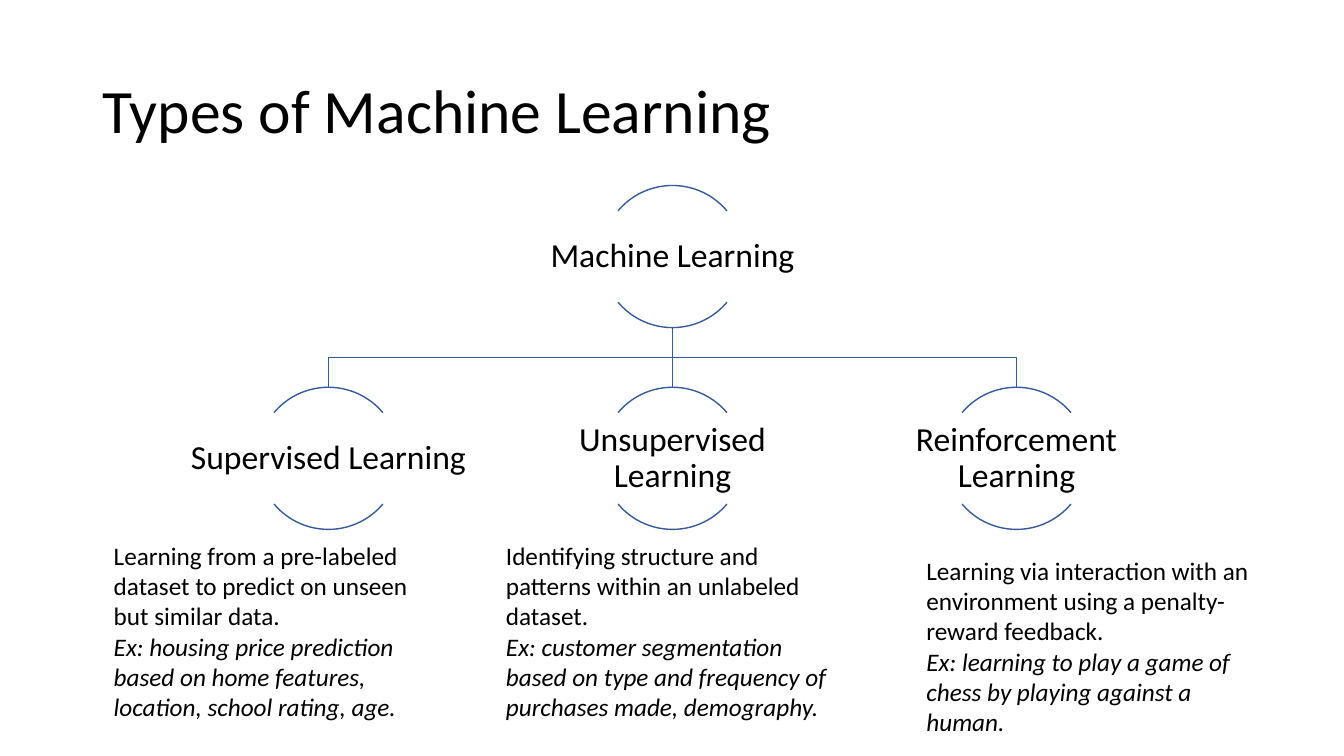
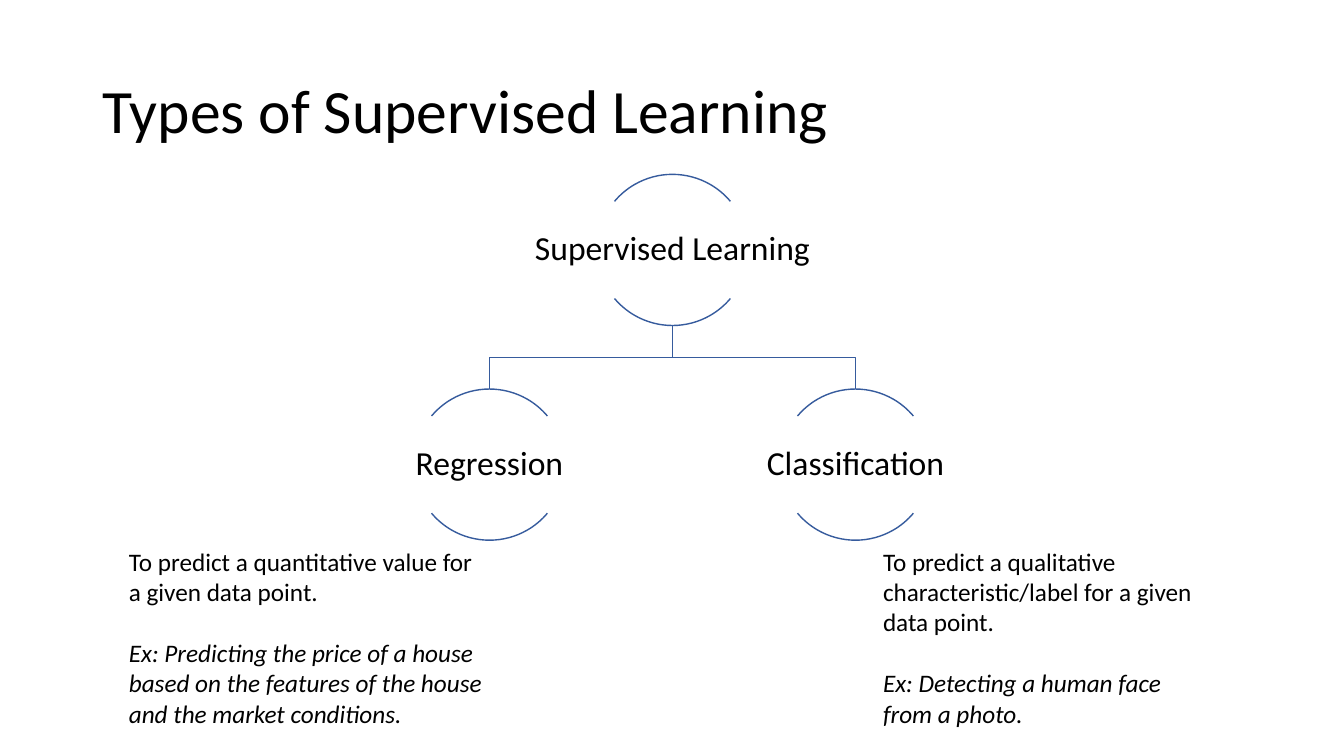
"""Build two slides that show the types of machine learning as trees."""
from pptx import Presentation
from pptx.dml.color import RGBColor
from pptx.enum.shapes import MSO_CONNECTOR, MSO_SHAPE
from pptx.enum.text import MSO_ANCHOR, MSO_AUTO_SIZE, PP_ALIGN
from pptx.util import Inches, Pt
from lxml import etree

ARC = MSO_SHAPE.ARC
STRAIGHT = MSO_CONNECTOR.STRAIGHT
TOP, MIDDLE = MSO_ANCHOR.TOP, MSO_ANCHOR.MIDDLE
LEFT, CENTER = PP_ALIGN.LEFT, PP_ALIGN.CENTER
NO_GROW, GROW = MSO_AUTO_SIZE.NONE, MSO_AUTO_SIZE.SHAPE_TO_FIT_TEXT

BLACK = RGBColor(0x00, 0x00, 0x00)
BLUE = RGBColor(0x36, 0x5B, 0x9D)
FONT = "Calibri"
DRAWING_NS = "http://schemas.openxmlformats.org/drawingml/2006/main"

TITLE_BOX = (0.92, 0.4, 11.5, 1.45)
CENTER_X = 6.67
NOTE_HEIGHT = 1.92
ARC_ANGLES = ((132, 192), (24, 84))
PITCH, DROP = 2.42, 1.42
LABEL_WIDTH, LABEL_HEIGHT = 2, 0.64

SLIDES = [
    {
        "title": "Types of Machine Learning",
        "root": "Machine Learning",
        "children": ["Supervised Learning", "Unsupervised Learning",
                     "Reinforcement Learning"],
        "top": 1.84,
        "diameter": 1.41,
        "gap": 0,
        "notes": [
            (1.03, 5.31, 3.5,
             "Learning from a pre-labeled dataset to predict on unseen but similar data.",
             "Ex: housing price prediction based on home features, location, "
             "school rating, age."),
            (4.92, 5.31, 3.5,
             "Identifying structure and patterns within an unlabeled dataset.",
             "Ex: customer segmentation based on type and frequency of "
             "purchases made, demography."),
            (9.09, 5.46, 3.5,
             "Learning via interaction with an environment using a "
             "penalty-reward feedback.",
             "Ex: learning to play a game of chess by playing against a human."),
        ],
    },
    {
        "title": "Types of Supervised Learning",
        "root": "Supervised Learning",
        "children": ["Regression", "Classification"],
        "top": 1.73,
        "diameter": 1.5,
        "gap": 22,
        "notes": [
            (1.18, 5.37, 3.7,
             "To predict a quantitative value for a given data point.",
             "Ex: Predicting the price of a house based on the features of "
             "the house and the market conditions."),
            (8.66, 5.37, 3.5,
             "To predict a qualitative characteristic/label for a given data point.",
             "Ex: Detecting a human face from a photo."),
        ],
    },
]


def add_text(s, box, *texts, size=18, align=LEFT, anchor=TOP, spacing=1.0,
             inset=None, gap=0, grow=NO_GROW):
    """Add a text box; paragraphs after the first are italic."""
    tf = s.shapes.add_textbox(*map(Inches, box)).text_frame
    tf.word_wrap = True
    tf.auto_size = grow
    tf.vertical_anchor = anchor
    if inset is not None:
        tf.margin_left = tf.margin_right = Inches(inset)
        tf.margin_top = tf.margin_bottom = Inches(inset)
    for i, text in enumerate(texts):
        p = tf.paragraphs[0] if i == 0 else tf.add_paragraph()
        p.alignment = align
        p.line_spacing = spacing
        p.space_before = Pt(gap if i else 0)
        r = p.add_run()
        r.text = text
        r.font.name = FONT
        r.font.size = Pt(size)
        r.font.italic = i > 0
        r.font.color.rgb = BLACK


def set_line(sp):
    """Give a shape or connector the thin blue line."""
    sp.line.color.rgb = BLUE
    sp.line.width = Pt(1)


def add_node(s, x, top, d, text):
    """Add a label between an upper and a lower arc."""
    for angles in ARC_ANGLES:
        sp = s.shapes.add_shape(ARC, Inches(x - d / 2), Inches(top),
                                Inches(d), Inches(d))
        sp.adjustments[0], sp.adjustments[1] = angles
        sp.shadow.inherit = False
        sp.fill.background()
        set_line(sp)
    w, h = LABEL_WIDTH * d, LABEL_HEIGHT * d
    add_text(s, (x - w / 2, top + (d - h) / 2, w, h), text, size=24,
             align=CENTER, anchor=MIDDLE, spacing=0.9, inset=0.02)


def add_branch(s, x, start_y, end_y):
    """Join the root to the child centred at x."""
    if abs(x - CENTER_X) < 0.01:
        sp = s.shapes.add_connector(STRAIGHT, Inches(x), Inches(start_y),
                                    Inches(x), Inches(end_y))
        etree.SubElement(sp._element.spPr, f"{{{DRAWING_NS}}}effectLst")
    else:
        mid_y = (start_y + end_y) / 2
        points = [(CENTER_X, mid_y), (x, mid_y), (x, end_y)]
        path = s.shapes.build_freeform(Inches(CENTER_X), Inches(start_y))
        path.add_line_segments([(Inches(px), Inches(py)) for px, py in points],
                               close=False)
        sp = path.convert_to_shape()
        sp.shadow.inherit = False
        sp.fill.background()
    set_line(sp)


def add_tree(s, root, children, top, d):
    """Add the root, its evenly spaced children and their branches."""
    child_top = top + DROP * d
    middle = (len(children) - 1) / 2
    nodes = [(CENTER_X + (i - middle) * PITCH * d, name)
             for i, name in enumerate(children)]
    for x, _ in nodes:
        add_branch(s, x, top + d, child_top)
    add_node(s, CENTER_X, top, d, root)
    for x, name in nodes:
        add_node(s, x, child_top, d, name)


def main():
    """Build and save the presentation."""
    prs = Presentation()
    prs.slide_width, prs.slide_height = Inches(13.33), Inches(7.5)
    for data in SLIDES:
        s = prs.slides.add_slide(prs.slide_layouts[6])
        add_text(s, TITLE_BOX, data["title"], size=44, anchor=MIDDLE, spacing=0.9)
        add_tree(s, data["root"], data["children"], data["top"], data["diameter"])
        for x, y, width, meaning, example in data["notes"]:
            add_text(s, (x, y, width, NOTE_HEIGHT), meaning, example,
                     gap=data["gap"], grow=GROW)
    prs.save("out.pptx")


if __name__ == "__main__":
    main()
